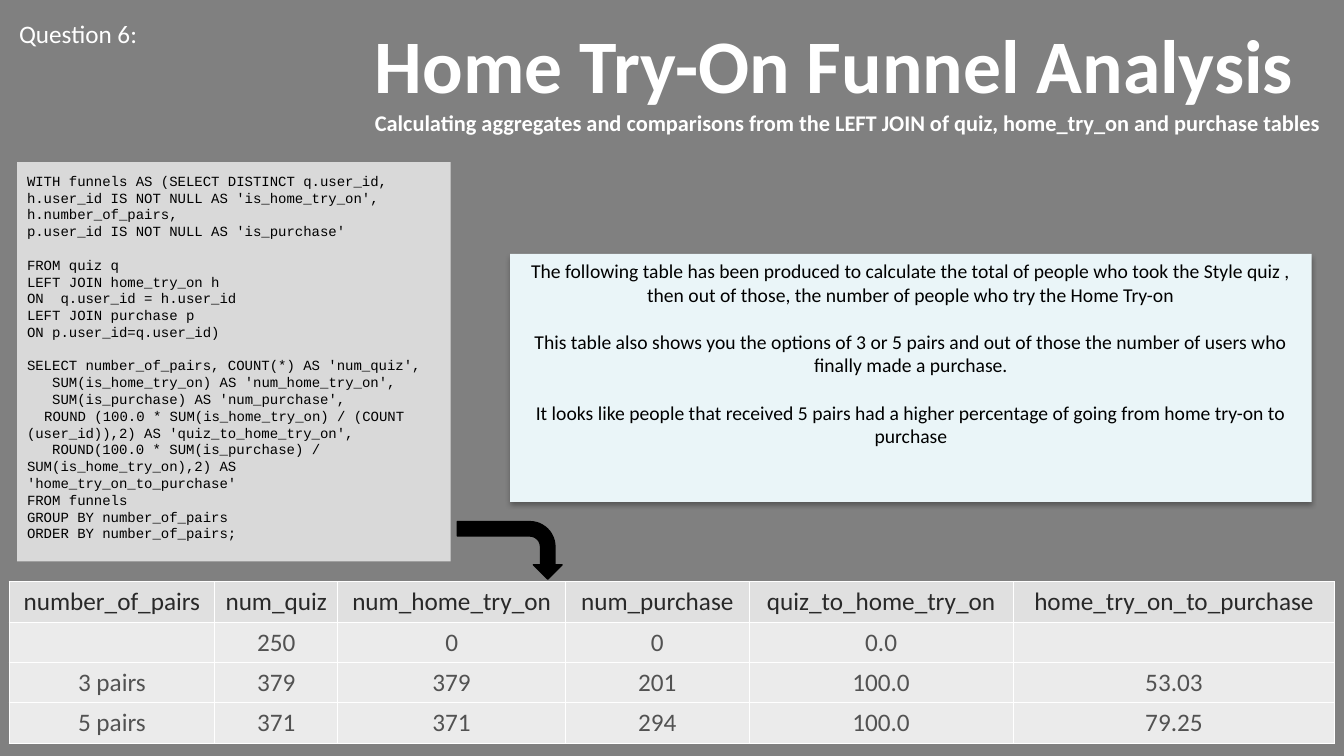
from dataclasses import dataclass
from typing import Any

import pptx
import pptx.dml.color
import pptx.enum.shapes
import pptx.enum.text
import pptx.oxml
import pptx.oxml.ns
import pptx.util

Inches = pptx.util.Inches
Pt = pptx.util.Pt
Align = pptx.enum.text.PP_ALIGN
Anchor = pptx.enum.text.MSO_ANCHOR
Preset = pptx.enum.shapes.MSO_SHAPE


@dataclass(frozen=True)
class Theme:
    sans: str = "Calibri"
    mono: str = "Courier New"
    background: str = "808080"
    white: str = "FFFFFF"
    black: str = "000000"
    query: str = "D9D9D9"
    findings: str = "EAF5F8"
    header: str = "E0E0E0"
    body: str = "EBEBEB"
    header_text: str = "292929"
    body_text: str = "525252"
    title_size: float = 54
    table_size: float = 18
    subtitle_size: float = 16
    findings_size: float = 14
    query_size: float = 10


@dataclass(frozen=True)
class Box:
    left: float
    top: float
    width: float
    height: float

    def lengths(self) -> tuple[int, ...]:
        return tuple(Inches(v) for v in (self.left, self.top, self.width, self.height))


@dataclass(frozen=True)
class Line:
    text: str
    gap: float = 0
    indent: float = 0


THEME = Theme()


def rgb(color: str) -> pptx.dml.color.RGBColor:
    return pptx.dml.color.RGBColor.from_string(color)


def paint(target: Any, color: str) -> None:
    target.fill.solid()
    target.fill.fore_color.rgb = rgb(color)


def add_xml(parent: Any, xml: str) -> None:
    namespace = pptx.oxml.ns.nsdecls("a")
    parent.append(pptx.oxml.parse_xml(xml.replace(">", f" {namespace}>", 1)))


def write(frame: Any, lines: list[Line], *, size: float, color: str, font: str = THEME.sans,
          bold: bool = False, align: Any = Align.LEFT, spacing: float | None = None,
          append: bool = False) -> None:
    frame.word_wrap = True
    for index, line in enumerate(lines):
        paragraph = frame.add_paragraph() if append or index else frame.paragraphs[0]
        paragraph.alignment = align
        paragraph.space_before = Pt(line.gap)
        if spacing:
            paragraph.line_spacing = Pt(spacing)
        if line.indent:
            paragraph._p.get_or_add_pPr().set("indent", str(Inches(line.indent)))
        paragraph.font.size = Pt(size)
        run = paragraph.add_run()
        run.text = line.text
        run.font.size, run.font.name, run.font.bold = Pt(size), font, bold
        run.font.color.rgb = rgb(color)


def add_panel(slide: Any, box: Box, color: str, preset: Any = Preset.RECTANGLE) -> Any:
    panel = slide.shapes.add_shape(preset, *box.lengths())
    panel.shadow.inherit = False
    paint(panel, color)
    panel.line.fill.background()
    panel.text_frame.vertical_anchor = Anchor.TOP
    return panel


def add_results(slide: Any, box: Box, widths: list[float], rows: list[list[str]]) -> None:
    table = slide.shapes.add_table(len(rows), len(widths), *box.lengths()).table
    for column, width in zip(table.columns, widths):
        column.width = Inches(width)
    for r, row in enumerate(rows):
        table.rows[r].height = Inches(box.height / len(rows))
        for c, value in enumerate(row):
            cell = table.cell(r, c)
            cell.margin_left = cell.margin_right = Inches(0.05)
            cell.vertical_anchor = Anchor.MIDDLE
            write(cell.text_frame, [Line(value)], size=THEME.table_size, align=Align.CENTER,
                  color=THEME.body_text if r else THEME.header_text)
            properties = cell._tc.get_or_add_tcPr()
            for side in ("lnL", "lnR", "lnT", "lnB"):
                add_xml(properties, f'<a:{side} w="{Pt(0.75)}"><a:solidFill>'
                        f'<a:srgbClr val="{THEME.white}"/></a:solidFill></a:{side}>')
            paint(cell, THEME.body if r else THEME.header)


deck = pptx.Presentation()
deck.slide_width, deck.slide_height = Inches(13.33), Inches(7.5)
slide = deck.slides.add_slide(deck.slide_layouts[6])
paint(slide.background, THEME.background)

question = slide.shapes.add_textbox(*Box(0.09, 0.13, 1.59, 0.4).lengths())
write(question.text_frame, [Line("Question 6:")], size=THEME.table_size, color=THEME.white)

heading = slide.shapes.add_textbox(*Box(3.62, 0.13, 9.62, 1.28).lengths())
write(heading.text_frame, [Line("Home Try-On Funnel Analysis")],
      size=THEME.title_size, color=THEME.white, bold=True)
write(heading.text_frame,
      [Line("Calculating aggregates and comparisons from the LEFT JOIN of quiz, "
            "home_try_on and purchase tables")],
      size=THEME.subtitle_size, color=THEME.white, bold=True, append=True)

QUERY_GAP = 12
query = add_panel(slide, Box(0.17, 1.61, 4.3, 3.96), THEME.query).text_frame
query.margin_left = query.margin_right = query.margin_top = query.margin_bottom = Inches(0.1)
write(query, [
    Line("WITH funnels AS (SELECT DISTINCT q.user_id,"),
    Line("h.user_id IS NOT NULL AS 'is_home_try_on',"),
    Line("h.number_of_pairs,"),
    Line("p.user_id IS NOT NULL AS 'is_purchase'"),
    Line("FROM quiz q", gap=QUERY_GAP),
    Line("LEFT JOIN home_try_on h"),
    Line("ON  q.user_id = h.user_id"),
    Line("LEFT JOIN purchase p"),
    Line("ON p.user_id=q.user_id)"),
    Line("SELECT number_of_pairs, COUNT(*) AS 'num_quiz',", gap=QUERY_GAP),
    Line("SUM(is_home_try_on) AS 'num_home_try_on',", indent=0.25),
    Line("SUM(is_purchase) AS 'num_purchase',", indent=0.25),
    Line("ROUND (100.0 * SUM(is_home_try_on) / (COUNT (user_id)),2) "
         "AS 'quiz_to_home_try_on',", indent=0.17),
    Line("ROUND(100.0 * SUM(is_purchase) / SUM(is_home_try_on),2) "
         "AS 'home_try_on_to_purchase'", indent=0.25),
    Line("FROM funnels"),
    Line("GROUP BY number_of_pairs"),
    Line("ORDER BY number_of_pairs;"),
], size=THEME.query_size, color=THEME.black, font=THEME.mono, spacing=12)

add_results(slide, Box(0.09, 5.77, 13.15, 1.6), [2.04, 1.22, 2.26, 1.82, 2.62, 3.19], [
    ["number_of_pairs", "num_quiz", "num_home_try_on", "num_purchase",
     "quiz_to_home_try_on", "home_try_on_to_purchase"],
    ["", "250", "0", "0", "0.0", ""],
    ["3 pairs", "379", "379", "201", "100.0", "53.03"],
    ["5 pairs", "371", "371", "294", "100.0", "79.25"],
])

findings = add_panel(slide, Box(5.06, 2.52, 7.95, 2.46), THEME.findings)
add_xml(findings._element.spPr.find(pptx.oxml.ns.qn("a:effectLst")),
        f'<a:outerShdw blurRad="{Pt(3.5)}" dist="{Pt(2.2)}" dir="5400000" rotWithShape="0">'
        f'<a:srgbClr val="{THEME.black}"><a:alpha val="32000"/></a:srgbClr></a:outerShdw>')
write(findings.text_frame, [
    Line("The following table has been produced to calculate the total of people who took "
         "the Style quiz , then out of those, the number of people who try the Home Try-on"),
    Line("This table also shows you the options of 3 or 5 pairs and out of those the number "
         "of users who finally made a purchase.", gap=17),
    Line("It looks like people that received 5 pairs had a higher percentage of going from "
         "home try-on to purchase", gap=17),
], size=THEME.findings_size, color=THEME.black, align=Align.CENTER)

arrow = add_panel(slide, Box(4.77, 4.94, 0.57, 1.04), THEME.black, Preset.BENT_ARROW)
arrow.rotation = 90
arrow.line.color.rgb = rgb(THEME.black)
arrow.line.width = Pt(1)

deck.save("out.pptx")
